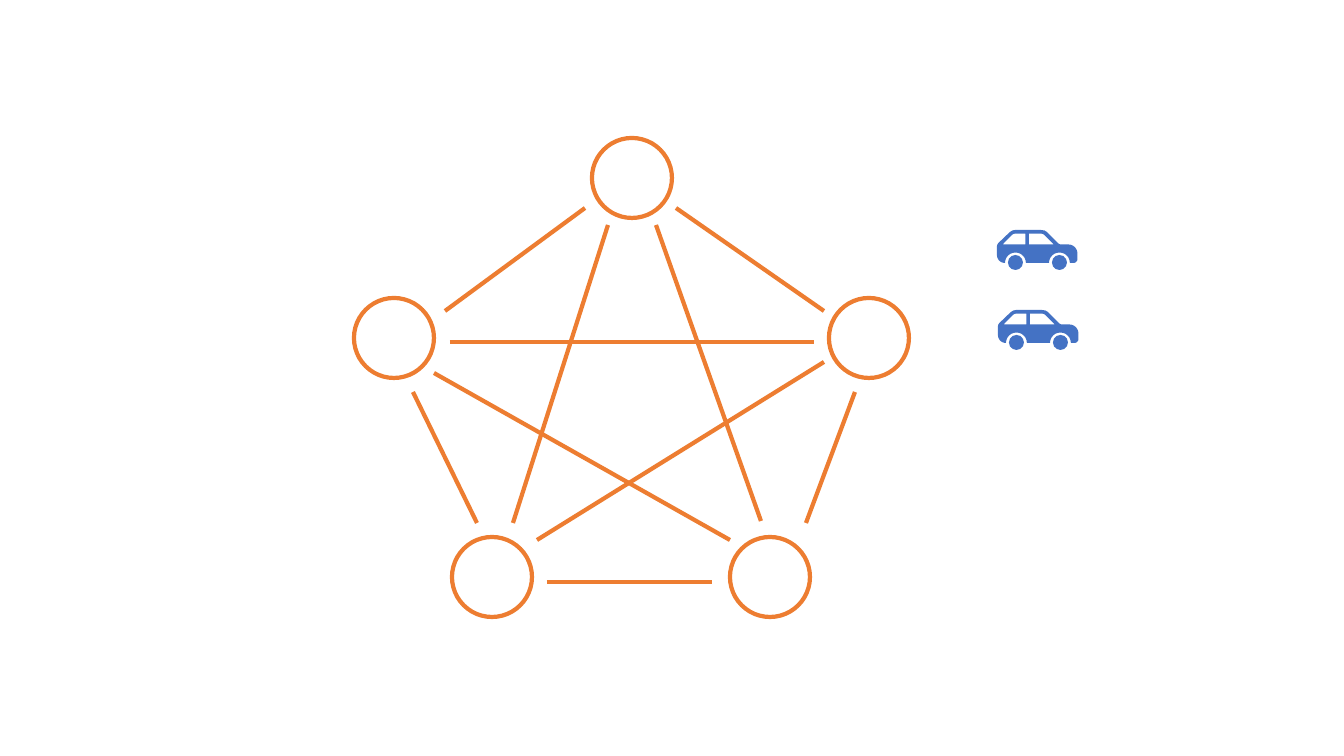
import math
from pptx import Presentation, util as u
from pptx.dml.color import RGBColor
from pptx.enum import shapes
from pptx.oxml.ns import qn
from lxml import etree

PX = 914400 / 100.8
ORANGE, BLUE, WHITE = "ED7D31", "4472C4", "FFFFFF"


def px(n):
    return u.Emu(round(n * PX))


def arc(cx, cy, radius, start, end, steps=12):
    """Points along a circle, angles in degrees, clockwise from the right."""
    angles = [math.radians(start + (end - start) * i / steps) for i in range(steps + 1)]
    return [(cx + radius * math.cos(a), cy + radius * math.sin(a)) for a in angles]


prs = Presentation()
prs.slide_width, prs.slide_height = px(1344), px(756)
s = prs.slides.add_slide(prs.slide_layouts[6])

# Nodes of the network
NODE = 80
for x, y in [(592, 138), (354, 298), (452, 537), (730, 537), (829, 298)]:
    sp = s.shapes.add_shape(shapes.MSO_SHAPE.OVAL, px(x), px(y), px(NODE), px(NODE))
    sp.shadow.inherit = False
    sp.fill.solid()
    sp.fill.fore_color.rgb = RGBColor.from_string(WHITE)
    sp.line.color.rgb = RGBColor.from_string(ORANGE)
    sp.line.width = u.Pt(3)

# Links between every pair of nodes
links = [
    (676, 208, 824, 311), (656, 225, 761, 521), (413, 392, 477, 523),
    (585, 208, 445, 311), (450, 342, 814, 342), (855, 392, 806, 523),
    (608, 225, 513, 523), (547, 582, 712, 582), (434, 373, 730, 540),
    (537, 540, 824, 362),
]
for link in links:
    line = s.shapes.add_connector(shapes.MSO_CONNECTOR.STRAIGHT, *map(px, link))
    line.line.color.rgb = RGBColor.from_string(ORANGE)
    line.line.width = u.Pt(3)
    etree.SubElement(line._element.spPr, qn("a:effectLst"))

# Cars: outlines in tenths of a px from the car's top left corner
front_window = [(320, 145), (320, 36), (440, 36), (460, 40), (475, 50), (570, 145)]
rear_window = [(285, 145), (56, 145), (150, 50), (165, 40), (185, 36), (285, 36)]
body = [
    (440, 0), (180, 0), (155, 5), (130, 20), (15, 130), (4, 145), (0, 160),
    *arc(80, 250, 80, 180, 90),
    *arc(185, 330, 105, 180, 360),
    *arc(625, 330, 105, 180, 360),
    *arc(765, 290, 40, 90, 0),
    *arc(715, 235, 90, 0, -90),
    (635, 145), (615, 135), (500, 20), (475, 5),
]
WHEEL = 15
for left, top in [(998, 310), (997, 230)]:
    car = s.shapes.add_group_shape()
    parts = [
        car.shapes.add_shape(shapes.MSO_SHAPE.OVAL, px(left + x), px(top + 25),
                             px(WHEEL), px(WHEEL))
        for x in (11, 55)
    ]
    outline = car.shapes.build_freeform(*body[0], scale=PX / 10)
    outline.add_line_segments(body[1:], close=True)
    for window in (front_window, rear_window):
        outline.move_to(*window[0])
        outline.add_line_segments(window[1:], close=True)
    parts.append(outline.convert_to_shape(px(left), px(top)))
    for sp in parts:
        sp.shadow.inherit = False
        sp.fill.solid()
        sp.fill.fore_color.rgb = RGBColor.from_string(BLUE)
        sp.line.fill.background()

prs.save("out.pptx")
